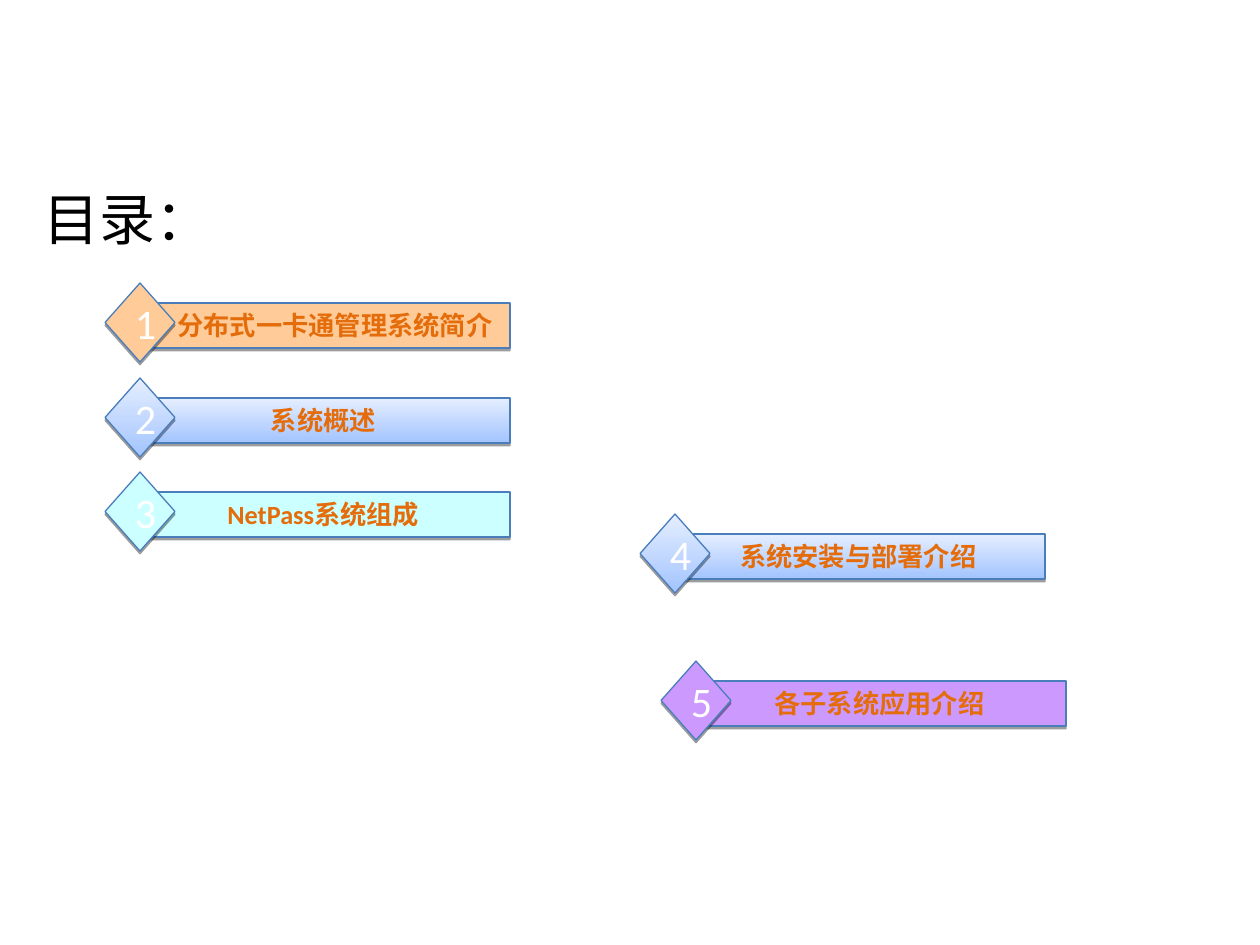
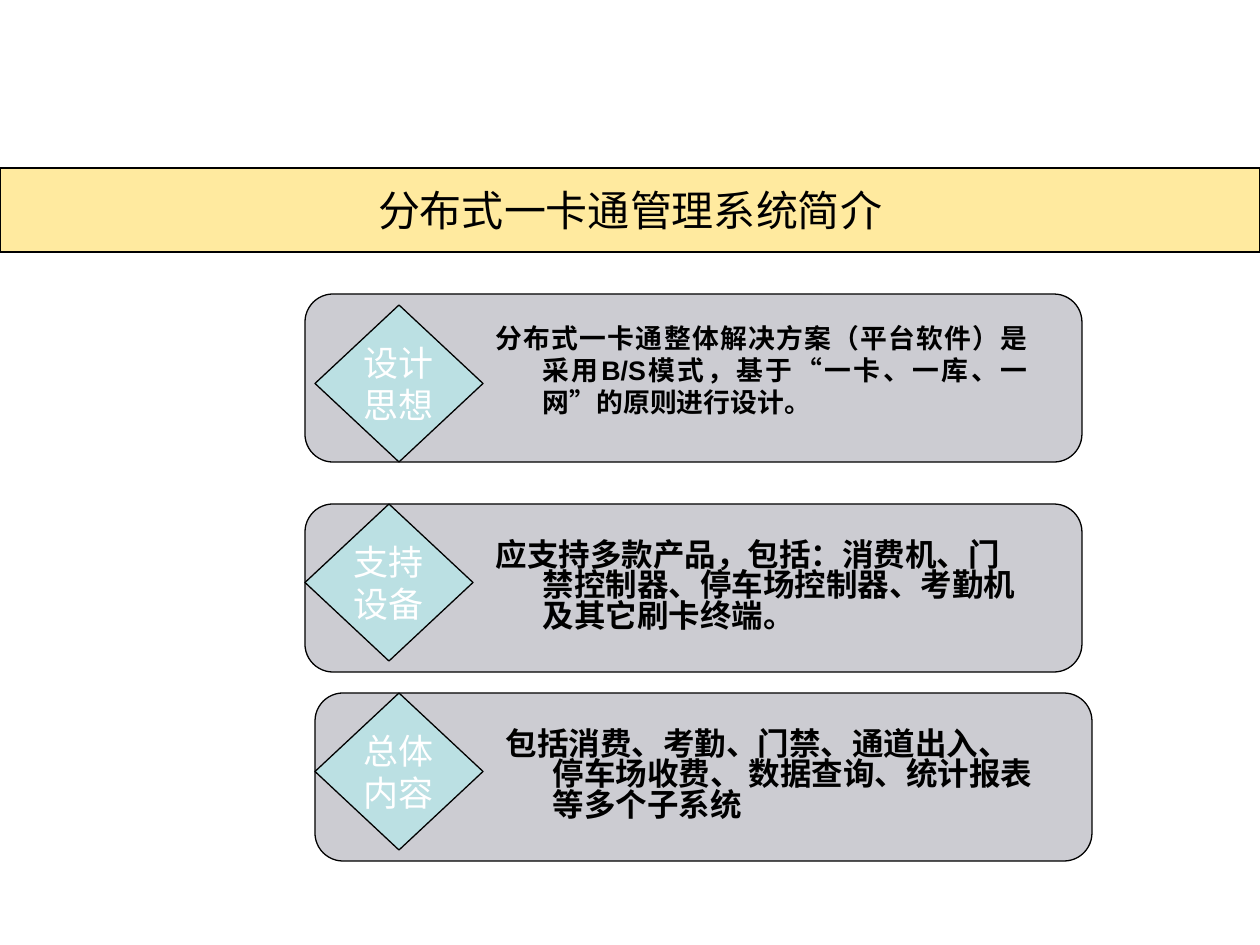
from dataclasses import dataclass

from lxml.etree import SubElement
from pptx import Presentation
from pptx.dml.color import RGBColor
from pptx.enum.shapes import MSO_SHAPE
from pptx.enum.text import MSO_ANCHOR, MSO_AUTO_SIZE, PP_ALIGN
from pptx.oxml.ns import qn
from pptx.util import Emu, Pt


@dataclass(frozen=True)
class Theme:
    heading_font: str = "Arial"
    agenda_font: str = "Calibri"
    black: str = "000000"
    white: str = "FFFFFF"
    agenda_text: str = "E46C0A"
    agenda_line: str = "4A7EBB"
    orange: str = "FFCC99"
    cyan: str = "CCFFFF"
    violet: str = "CC99FF"
    blue: tuple = ("A3C4FF", "E5EEFF")
    band: str = "FFEA9F"
    panel: str = "CCCCD2"
    badge: str = "BBE0E3"
    contents_size: float = 32
    band_size: float = 24
    number_size: float = 24
    badge_size: float = 20
    agenda_size: float = 15
    intro_size: float = 15.3
    detail_size: float = 18
    line_width: float = 0.75


THEME = Theme()
PX_PER_INCH = 126
SLIDE_WIDTH, SLIDE_HEIGHT = 1260, 945
INSET = 13
HANGING_INDENT = 47

AGENDA = [
    (105, 283, "分布式一卡通管理系统简介", THEME.orange, 23),
    (105, 378, "系统概述", THEME.blue, 0),
    (105, 472, "NetPass系统组成", THEME.cyan, 0),
    (640, 514, "系统安装与部署介绍", THEME.blue, 0),
    (661, 661, "各子系统应用介绍", THEME.violet, 0),
]

PANELS = [
    (305, 294, (10, 11), 21, ["设计", "思想"],
     "分布式一卡通整体解决方案（平台软件）是采用B/S模式，基于“一卡、一库、一网”的原则进行设计。",
     THEME.intro_size, PP_ALIGN.JUSTIFY, 1.0),
    (305, 504, (0, 0), 32, ["支持", "设备"],
     "应支持多款产品，包括：消费机、门禁控制器、停车场控制器、考勤机及其它刷卡终端。",
     THEME.detail_size, PP_ALIGN.LEFT, 0.8),
    (315, 693, (0, 0), 32, ["总体", "内容"],
     "包括消费、考勤、门禁、通道出入、停车场收费、 数据查询、统计报表等多个子系统",
     THEME.detail_size, PP_ALIGN.LEFT, 0.8),
]


def px(length):
    return Emu(round(length * 914400 / PX_PER_INCH))


def place(shape, left, top, width, height):
    shape.left, shape.top = px(left), px(top)
    shape.width, shape.height = px(width), px(height)


def paint(shape, fill, line):
    if isinstance(fill, tuple):
        shape.fill.gradient()
        shape.fill.gradient_angle = 90
        for stop, colour in zip(shape.fill.gradient_stops, fill):
            stop.color.rgb = RGBColor.from_string(colour)
    else:
        shape.fill.solid()
        shape.fill.fore_color.rgb = RGBColor.from_string(fill)
    shape.line.color.rgb = RGBColor.from_string(line)
    shape.line.width = Pt(THEME.line_width)


def add_figure(shapes, kind, box, fill, line):
    figure = shapes.add_shape(kind, *map(px, box))
    paint(figure, fill, line)
    figure.shadow.inherit = False
    return figure


def cast_shadow(figure):
    effects = figure.element.spPr.find(qn("a:effectLst"))
    shadow = SubElement(effects, qn("a:outerShdw"), blurRad="0", dist="20000",
                        dir="5400000", rotWithShape="0")
    colour = SubElement(shadow, qn("a:srgbClr"), val=THEME.black)
    SubElement(colour, qn("a:alpha"), val="38000")


def hang(paragraph):
    properties = paragraph._p.get_or_add_pPr()
    properties.set("marL", str(px(HANGING_INDENT)))
    properties.set("indent", str(-px(HANGING_INDENT)))
    SubElement(properties, qn("a:buNone"))


def write(shape, lines, font, size, colour, bold=False, align=PP_ALIGN.CENTER,
          anchor=MSO_ANCHOR.MIDDLE, wrap=True, hanging=False):
    frame = shape.text_frame
    frame.word_wrap = wrap
    frame.auto_size = MSO_AUTO_SIZE.NONE
    frame.vertical_anchor = anchor
    frame.text = "\n".join(lines)
    for paragraph in frame.paragraphs:
        if hanging:
            hang(paragraph)
        paragraph.alignment = align
        paragraph.space_before = Pt(0)
        paragraph.font.name = font
        paragraph.font.size = Pt(size)
        paragraph.font.bold = bold
        paragraph.font.color.rgb = RGBColor.from_string(colour)
    return frame


def add_agenda_entry(slide, number, left, top, topic, fill, text_shift):
    entry = slide.shapes.add_group_shape().shapes
    bar = add_figure(entry, MSO_SHAPE.RECTANGLE, (left + 31, top + 20, 374, 45),
                     fill, THEME.agenda_line)
    frame = write(bar, [topic], THEME.agenda_font, THEME.agenda_size,
                  THEME.agenda_text, bold=True, anchor=MSO_ANCHOR.TOP)
    frame.margin_left = px(INSET + text_shift)
    marker = add_figure(entry, MSO_SHAPE.DIAMOND, (left, top, 70, 79),
                        fill, THEME.agenda_line)
    write(marker, [str(number)], THEME.agenda_font, THEME.number_size, THEME.white)
    for figure in (bar, marker):
        cast_shadow(figure)


def add_topic_panel(slide, description, left, top, badge_offset, text_offset,
                    label, text, size, align, spacing):
    add_figure(slide.shapes, MSO_SHAPE.ROUNDED_RECTANGLE, (left, top, 777, 168),
               THEME.panel, THEME.black)
    dx, dy = badge_offset
    badge = add_figure(slide.shapes, MSO_SHAPE.DIAMOND,
                       (left + dx, top + dy, 168, 157), THEME.badge, THEME.black)
    write(badge, label, THEME.heading_font, THEME.badge_size, THEME.white, wrap=False)

    place(description, left + 178, top + text_offset, 557, 110)
    description.element.getparent().append(description.element)
    frame = write(description, [text], THEME.heading_font, size, THEME.black,
                  bold=True, align=align, anchor=MSO_ANCHOR.TOP, hanging=True)
    frame.paragraphs[0].line_spacing = spacing


def build_contents(presentation):
    slide = presentation.slides.add_slide(presentation.slide_layouts[5])
    heading = slide.shapes.title
    place(heading, 31, 178, 1176, 98)
    write(heading, ["目录："], THEME.heading_font, THEME.contents_size, THEME.black,
          align=PP_ALIGN.LEFT, anchor=MSO_ANCHOR.TOP)
    for number, entry in enumerate(AGENDA, start=1):
        add_agenda_entry(slide, number, *entry)


def build_introduction(presentation):
    slide = presentation.slides.add_slide(presentation.slide_layouts[4])
    heading, *descriptions, spare = slide.placeholders
    spare.element.getparent().remove(spare.element)
    place(heading, 0, 168, SLIDE_WIDTH, 84)
    paint(heading, THEME.band, THEME.black)
    write(heading, ["分布式一卡通管理系统简介"], THEME.heading_font,
          THEME.band_size, THEME.black)
    for description, panel in zip(descriptions, PANELS):
        add_topic_panel(slide, description, *panel)


def main():
    presentation = Presentation()
    presentation.slide_width = px(SLIDE_WIDTH)
    presentation.slide_height = px(SLIDE_HEIGHT)
    build_contents(presentation)
    build_introduction(presentation)
    presentation.save("out.pptx")


if __name__ == "__main__":
    main()
